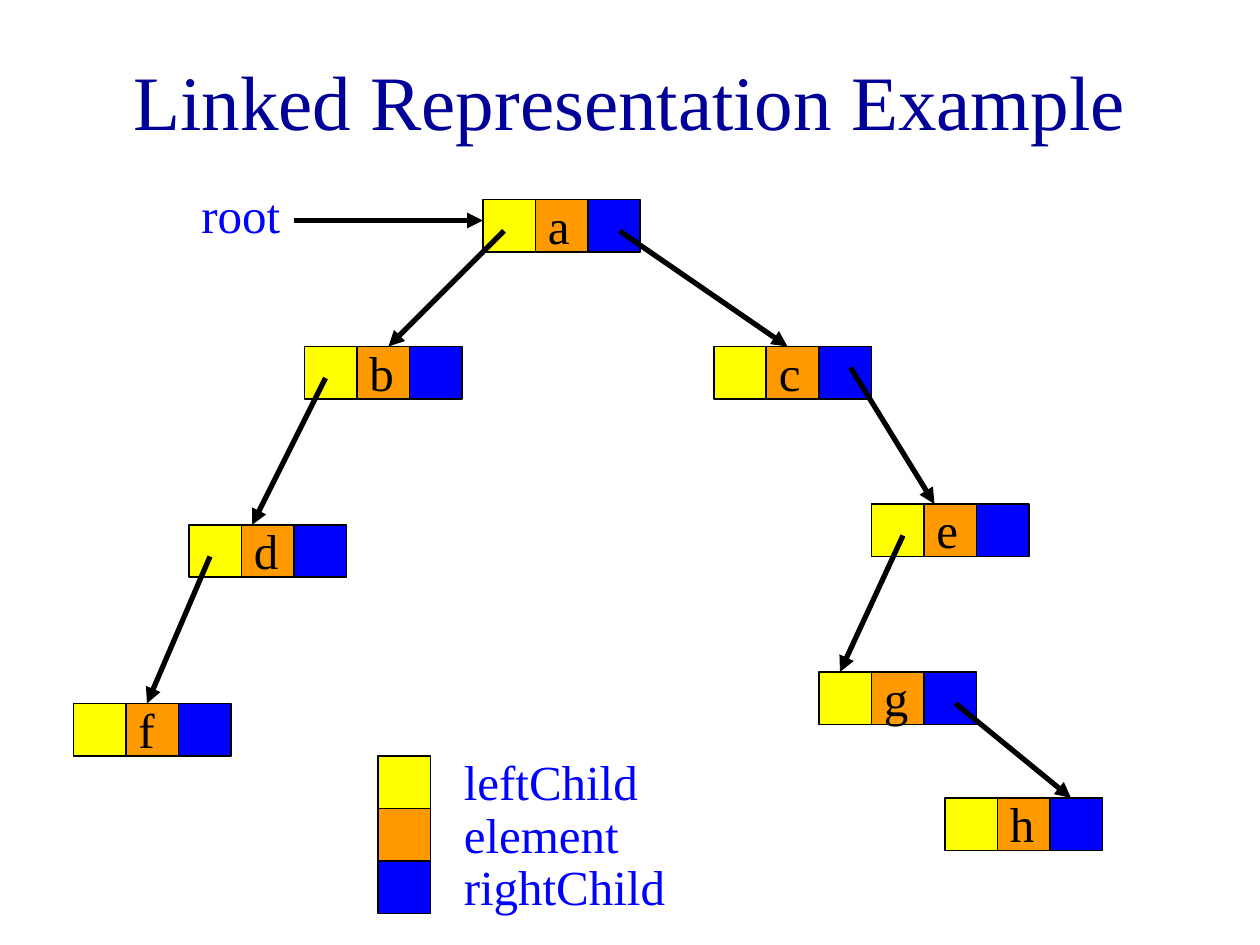
from lxml import etree
from pptx import Presentation
from pptx.dml.color import RGBColor
from pptx.enum.shapes import MSO_CONNECTOR, MSO_SHAPE
from pptx.enum.text import MSO_ANCHOR, MSO_AUTO_SIZE, PP_ALIGN
from pptx.oxml.ns import qn
from pptx.util import Pt

RECTANGLE = MSO_SHAPE.RECTANGLE
STRAIGHT = MSO_CONNECTOR.STRAIGHT
MIDDLE = MSO_ANCHOR.MIDDLE
CENTER = PP_ALIGN.CENTER
GROW = MSO_AUTO_SIZE.SHAPE_TO_FIT_TEXT

YELLOW = RGBColor(0xFF, 0xFF, 0x00)
ORANGE = RGBColor(0xFF, 0x99, 0x00)
BLUE = RGBColor(0x00, 0x00, 0xFF)
NAVY = RGBColor(0x00, 0x00, 0x99)
BLACK = RGBColor(0x00, 0x00, 0x00)
FIELD_COLORS = [YELLOW, ORANGE, BLUE]
FONT = "Times New Roman"
CELL = 30
LABEL_HEIGHT = 41

prs = Presentation()
prs.slide_width, prs.slide_height = Pt(720), Pt(540)
slide = prs.slides.add_slide(prs.slide_layouts[5])

title = slide.shapes.title
title.left, title.top, title.width, title.height = Pt(54), Pt(12), Pt(612), Pt(90)
title.text_frame.text = "Linked Representation Example"
title.text_frame.vertical_anchor = MIDDLE
heading = title.text_frame.paragraphs[0]
heading.alignment = CENTER
heading_font = heading.runs[0].font
heading_font.name, heading_font.size = FONT, Pt(44)
heading_font.color.rgb = NAVY


def add_cell(shapes, left, top, color):
    cell = shapes.add_shape(RECTANGLE, Pt(left), Pt(top), Pt(CELL), Pt(CELL))
    cell.shadow.inherit = False
    cell.fill.solid()
    cell.fill.fore_color.rgb = color
    cell.line.color.rgb = BLACK
    cell.line.width = Pt(1)


def add_label(shapes, left, top, width, text, color):
    label = shapes.add_textbox(Pt(left), Pt(top), Pt(width), Pt(LABEL_HEIGHT))
    frame = label.text_frame
    frame.word_wrap = True
    frame.auto_size = GROW
    frame.text = text
    paragraph = frame.paragraphs[0]
    paragraph.space_before = Pt(17.5)
    font = paragraph.runs[0].font
    font.name, font.size = FONT, Pt(28)
    font.color.rgb = color


nodes = {
    "a": (276, 114),
    "c": (408, 198),
    "b": (174, 198),
    "d": (108, 300),
    "f": (42, 402),
    "e": (498, 288),
    "g": (468, 384),
    "h": (540, 456),
}
for element, (left, top) in nodes.items():
    node = slide.shapes.add_group_shape()
    for column, color in enumerate(FIELD_COLORS):
        add_cell(node.shapes, left + column * CELL, top, color)
    add_label(node.shapes, left + CELL, top - 6, CELL, element, BLACK)

for row, (field, color) in enumerate(zip(["leftChild", "element", "rightChild"], FIELD_COLORS)):
    add_cell(slide.shapes, 216, 432 + row * CELL, color)
    add_label(slide.shapes, 258, 426 + row * CELL, 210, field, BLUE)

add_label(slide.shapes, 108, 102, 72, "root", BLUE)

pointers = [
    (288, 132, 222, 198),
    (354, 132, 450, 198),
    (186, 216, 144, 300),
    (120, 318, 84, 402),
    (486, 210, 534, 288),
    (516, 306, 480, 384),
    (546, 402, 612, 456),
    (168, 126, 276, 126),
]
for ends in pointers:
    pointer = slide.shapes.add_connector(STRAIGHT, *[Pt(end) for end in ends])
    pointer.line.color.rgb = BLACK
    pointer.line.width = Pt(3)
    etree.SubElement(pointer.line._get_or_add_ln(), qn("a:tailEnd"), type="triangle")
    etree.SubElement(pointer._element.spPr, qn("a:effectLst"))

prs.save("out.pptx")
